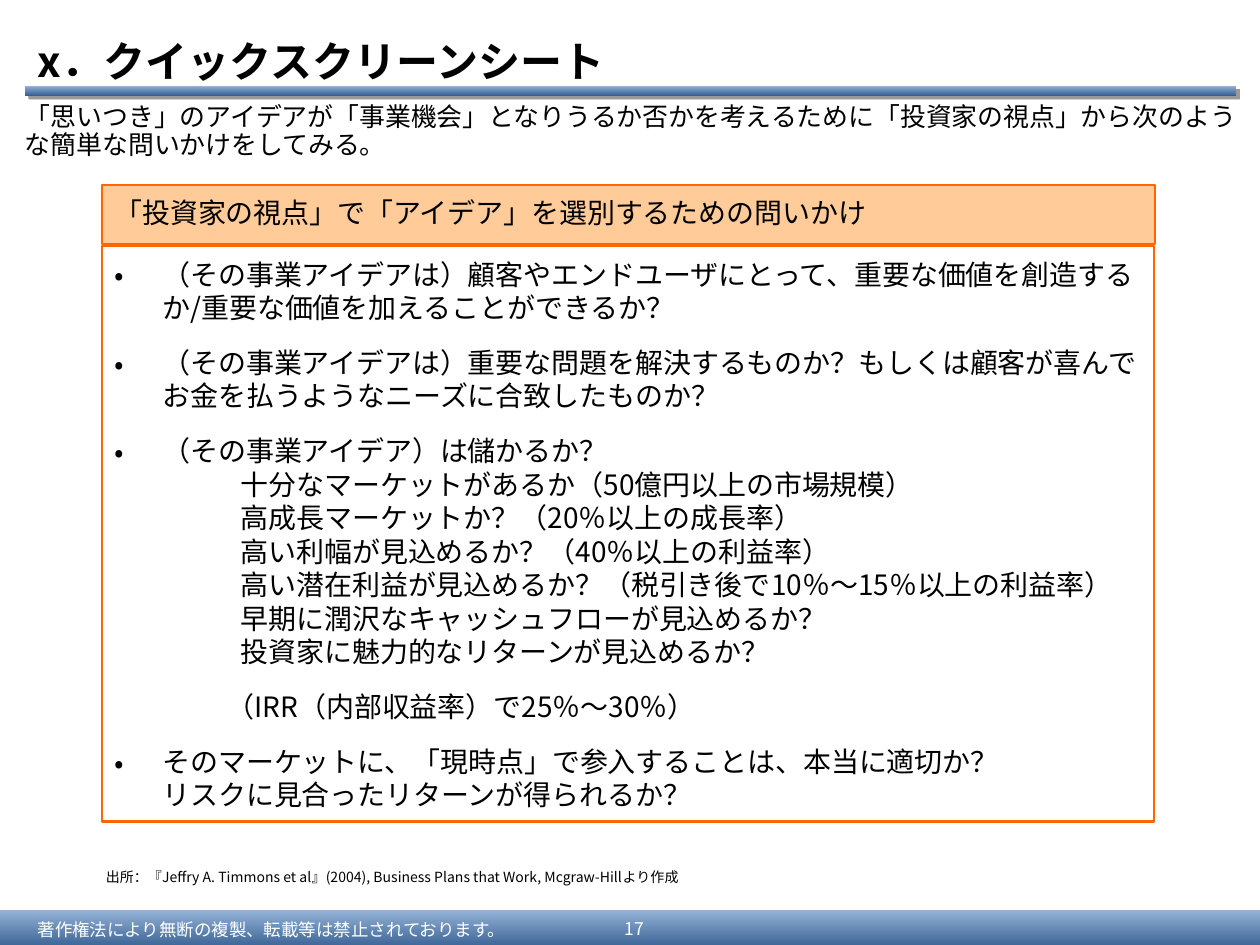
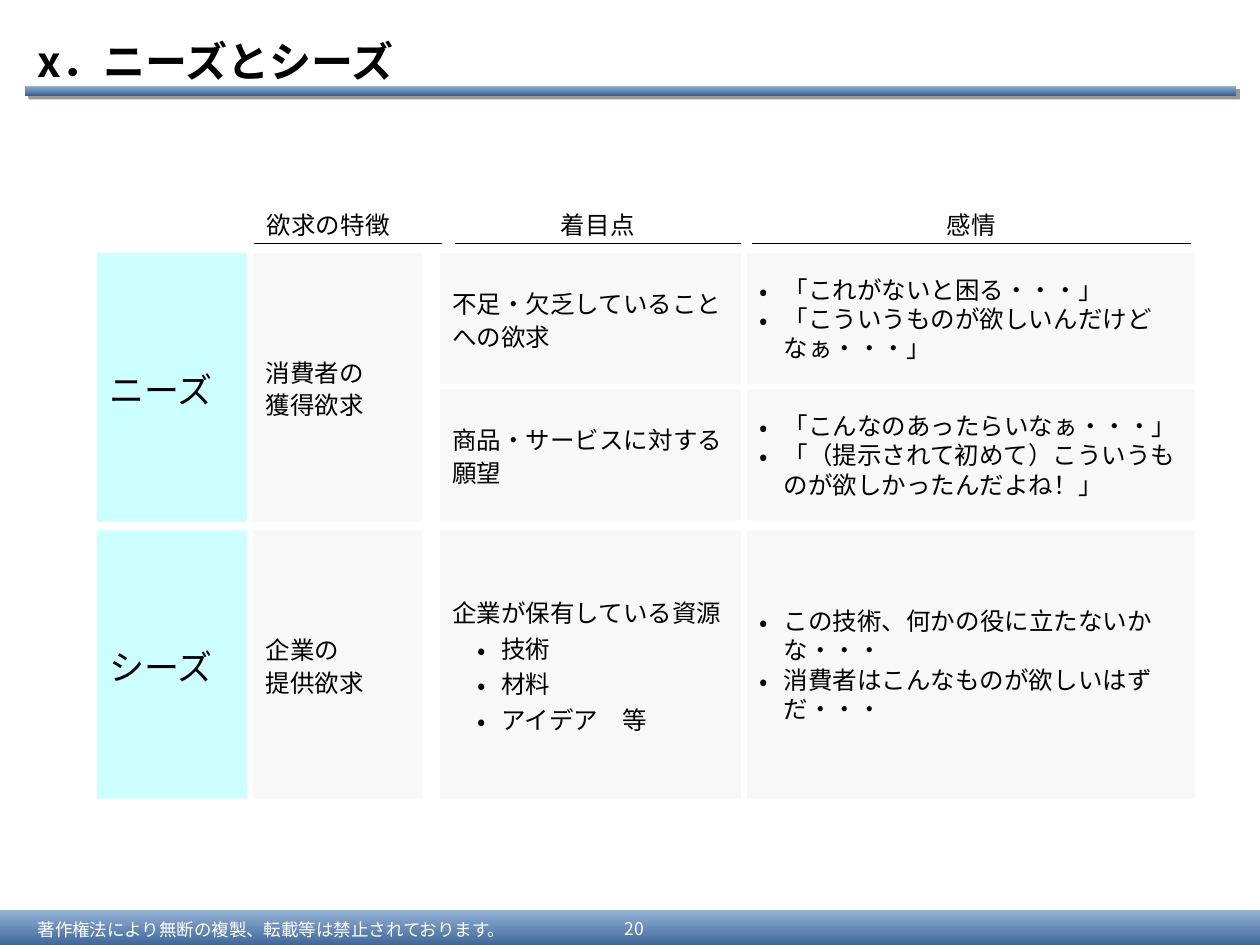
from copy import deepcopy
from dataclasses import dataclass

from lxml import etree
from pptx import Presentation
from pptx import util as u
from pptx.dml.color import RGBColor
from pptx.enum import shapes, text
from pptx.oxml.ns import qn


@dataclass(frozen=True)
class Theme:
    font: str = "Noto Sans CJK JP"
    ink: str = "000000"
    paper: str = "FFFFFF"
    deep: str = "376092"
    sky: str = "95B3D7"
    rim: str = "FF6600"
    peach: str = "FFCC99"
    aqua: str = "CCFFFF"
    mist: str = "F8F8F8"
    title: float = 24
    label: float = 20
    list: float = 16
    lead: float = 14.8
    cell: float = 14
    foot: float = 10
    note: float = 8


T = Theme()
COLS, ROWS = 100, 75
LEFT, MID = text.PP_ALIGN.LEFT, text.PP_ALIGN.CENTER
TOP, CORE = text.MSO_ANCHOR.TOP, text.MSO_ANCHOR.MIDDLE


def rgb(code):
    return RGBColor.from_string(code)


def node(host, tag, **attrs):
    return etree.SubElement(host, qn(tag), attrs)


def style(para, size=T.cell, color=T.ink, bold=False, align=LEFT, space=1.0,
          before=0, after=0, left=0, hang=0, dot=False):
    para.alignment = align
    para.line_spacing = space
    para.space_before, para.space_after = u.Pt(before), u.Pt(after)
    props = para._p.get_or_add_pPr()
    props.set("marL", str(u.Inches(left)))
    props.set("indent", str(u.Inches(-hang)))
    if dot:
        node(props, "a:buFont", typeface=T.font)
        node(props, "a:buChar", char="•")
    else:
        node(props, "a:buNone")
    for run in para.runs:
        font = run.font
        font.size, font.bold, font.name = u.Pt(size), bold, T.font
        font.color.rgb = rgb(color)
        node(run._r.rPr, "a:ea", typeface=T.font)
    for gap in para._p.findall(qn("a:br")):
        gap.insert(0, deepcopy(para.runs[0]._r.rPr))


def write(frame, lines, anchor=TOP, pad=(0.1, 0.05), **form):
    frame.word_wrap = True
    frame.auto_size = text.MSO_AUTO_SIZE.NONE
    frame.vertical_anchor = anchor
    frame.margin_left = frame.margin_right = u.Inches(pad[0])
    frame.margin_top = frame.margin_bottom = u.Inches(pad[1])
    for i, line in enumerate([lines] if isinstance(lines, str) else lines):
        words, extra = (line, {}) if isinstance(line, str) else line
        para = frame.add_paragraph() if i else frame.paragraphs[0]
        para.text = words.replace("\n", "\v")
        look = {**form, **extra}
        if i == 0:
            look["before"] = 0
        style(para, **look)


class Deck:
    def __init__(self):
        self.prs = Presentation()
        self.prs.slide_width, self.prs.slide_height = u.Inches(10), u.Inches(7.5)
        self.col = self.prs.slide_width / COLS
        self.row = self.prs.slide_height / ROWS

    def grid(self, x, y, w, h):
        return [round(n) for n in
                (x * self.col, y * self.row, w * self.col, h * self.row)]

    def page(self, title, number, layout):
        self.slide = self.prs.slides.add_slide(self.prs.slide_layouts[layout])
        self.band(0, 72.2, 100, 3.1)
        rule = self.band(2, 6.8, 96.1, 0.8)
        cast = node(rule._element.spPr.find(qn("a:effectLst")), "a:outerShdw",
                    dist=str(u.Pt(3)), dir="2700000", algn="tl")
        node(node(cast, "a:srgbClr", val=T.ink), "a:alpha", val="40000")
        foot = dict(size=T.foot, color=T.paper, anchor=CORE, pad=(0.1, 0.04))
        self.note((2, 72.5, 42.5, 2.5),
                  "著作権法により無断の複製、転載等は禁止されております。", **foot)
        self.note((47.6, 72.3, 5.5, 2.8), str(number), align=MID, **foot)
        self.hold(0, (2, 2.1, 98, 5.4), title,
                  size=T.title, bold=True, anchor=CORE)

    def hold(self, index, area, lines, **form):
        item = self.slide.placeholders[index]
        item.left, item.top, item.width, item.height = self.grid(*area)
        write(item.text_frame, lines, **form)
        return item

    def note(self, area, lines, **form):
        item = self.slide.shapes.add_textbox(*self.grid(*area))
        write(item.text_frame, lines, **form)

    def rect(self, area):
        item = self.slide.shapes.add_shape(
            shapes.MSO_SHAPE.RECTANGLE, *self.grid(*area))
        item.shadow.inherit = False
        item.line.fill.background()
        return item

    def band(self, *area):
        item = self.rect(area)
        item.fill.gradient()
        item.fill.gradient_angle = 90
        for stop, tone in zip(item.fill.gradient_stops, (T.deep, T.sky)):
            stop.color.rgb = rgb(tone)
        return item

    def paint(self, item, fill, line=None):
        item.fill.solid()
        item.fill.fore_color.rgb = rgb(fill)
        if line:
            item.line.color.rgb = rgb(line)
            item.line.width = u.Pt(1.25)

    def cell(self, area, lines, fill=T.mist, line=None, **form):
        item = self.rect(area)
        self.paint(item, fill, line)
        write(item.text_frame, lines, anchor=CORE, **form)

    def rule(self, x, y, w):
        left, top, wide, _ = self.grid(x, y, w, 0)
        item = self.slide.shapes.add_connector(
            shapes.MSO_CONNECTOR.STRAIGHT, left, top, left + wide, top)
        item.line.color.rgb = rgb(T.ink)
        item.line.width = u.Pt(0.75)
        node(item._element.spPr, "a:effectLst")


def screen(deck):
    deck.page("x．クイックスクリーンシート", 17, layout=1)
    sub = dict(left=1, hang=0, dot=False, before=0, after=0)
    asks = [
        "（その事業アイデアは）顧客やエンドユーザにとって、重要な価値を創造するか/重要な価値を加えることができるか？",
        "（その事業アイデアは）重要な問題を解決するものか？もしくは顧客が喜んでお金を払うようなニーズに合致したものか？",
        ("（その事業アイデア）は儲かるか？", dict(after=0)),
        ("十分なマーケットがあるか（50億円以上の市場規模）", sub),
        ("高成長マーケットか？（20％以上の成長率）", sub),
        ("高い利幅が見込めるか？（40％以上の利益率）", sub),
        ("高い潜在利益が見込めるか？（税引き後で10％～15％以上の利益率）", sub),
        ("早期に潤沢なキャッシュフローが見込めるか？", sub),
        ("投資家に魅力的なリターンが見込めるか？", {**sub, "after": 2}),
        ("（IRR（内部収益率）で25％～30％）", dict(left=0.89, hang=0, dot=False)),
        "そのマーケットに、「現時点」で参入することは、本当に適切か？\nリスクに見合ったリターンが得られるか？",
    ]
    body = deck.hold(1, (8.1, 19.5, 83.5, 45.7), asks, size=T.list, before=10,
                     after=2, left=0.38, hang=0.38, dot=True, pad=(0.1, 0.09))
    deck.paint(body, T.paper, T.rim)
    deck.cell((8.1, 14.7, 83.6, 4.7),
              "「投資家の視点」で「アイデア」を選別するための問いかけ",
              fill=T.peach, line=T.rim, size=T.list, space=0.9)
    deck.note((8.4, 68.4, 74.6, 2.4),
              "出所：『Jeffry A. Timmons et al』(2004), Business Plans that Work, Mcgraw-Hillより作成",
              size=T.note, pad=(0, 0.05))
    deck.note((1, 7.8, 99, 6),
              "「思いつき」のアイデアが「事業機会」となりうるか否かを考えるために「投資家の視点」から次のような簡単な問いかけをしてみる。",
              size=T.lead, space=0.9)


def needs(deck):
    deck.page("x．ニーズとシーズ", 20, layout=5)
    name, trait, focus, feel = (7.7, 11.9), (20.1, 13.4), (34.9, 23.9), (59.3, 35.5)
    top, tall, step = 20.1, 21.3, 22
    half, drop = 10.4, 10.8

    heads = [("欲求の特徴", 20.2, 14.9, LEFT), ("着目点", 36.1, 22.7, MID),
             ("感情", 59.7, 34.8, MID)]
    for words, x, w, align in heads:
        deck.rule(x, 19.3, w)
        deck.note((x, 16.2, w, 3.4), words, align=align)

    kinds = [("ニーズ", "消費者の\n獲得欲求"), ("シーズ", "企業の\n提供欲求")]
    for i, (kind, want) in enumerate(kinds):
        y = top + i * step
        deck.cell((name[0], y, name[1], tall), kind,
                  fill=T.aqua, size=T.label, space=1.1)
        deck.cell((trait[0], y, trait[1], tall), want, space=1.1)

    item = dict(left=0.39, hang=0.19, dot=True, before=1.8)
    rows = [
        (top, half, ["不足・欠乏していることへの欲求"],
         ["「これがないと困る・・・」", "「こういうものが欲しいんだけどなぁ・・・」"]),
        (top + drop, half, ["商品・サービスに対する願望"],
         ["「こんなのあったらいなぁ・・・」",
          "「（提示されて初めて）こういうものが欲しかったんだよね！」"]),
        (top + step, tall,
         ["企業が保有している資源", ("技術", item), ("材料", item), ("アイデア　等", item)],
         ["この技術、何かの役に立たないかな・・・", "消費者はこんなものが欲しいはずだ・・・"]),
    ]
    for y, h, points, moods in rows:
        deck.cell((focus[0], y, focus[1], h), points, space=1.1)
        deck.cell((feel[0], y, feel[1], h), moods, left=0.19, hang=0.19, dot=True)


def main():
    deck = Deck()
    screen(deck)
    needs(deck)
    deck.prs.save("out.pptx")


if __name__ == "__main__":
    main()
